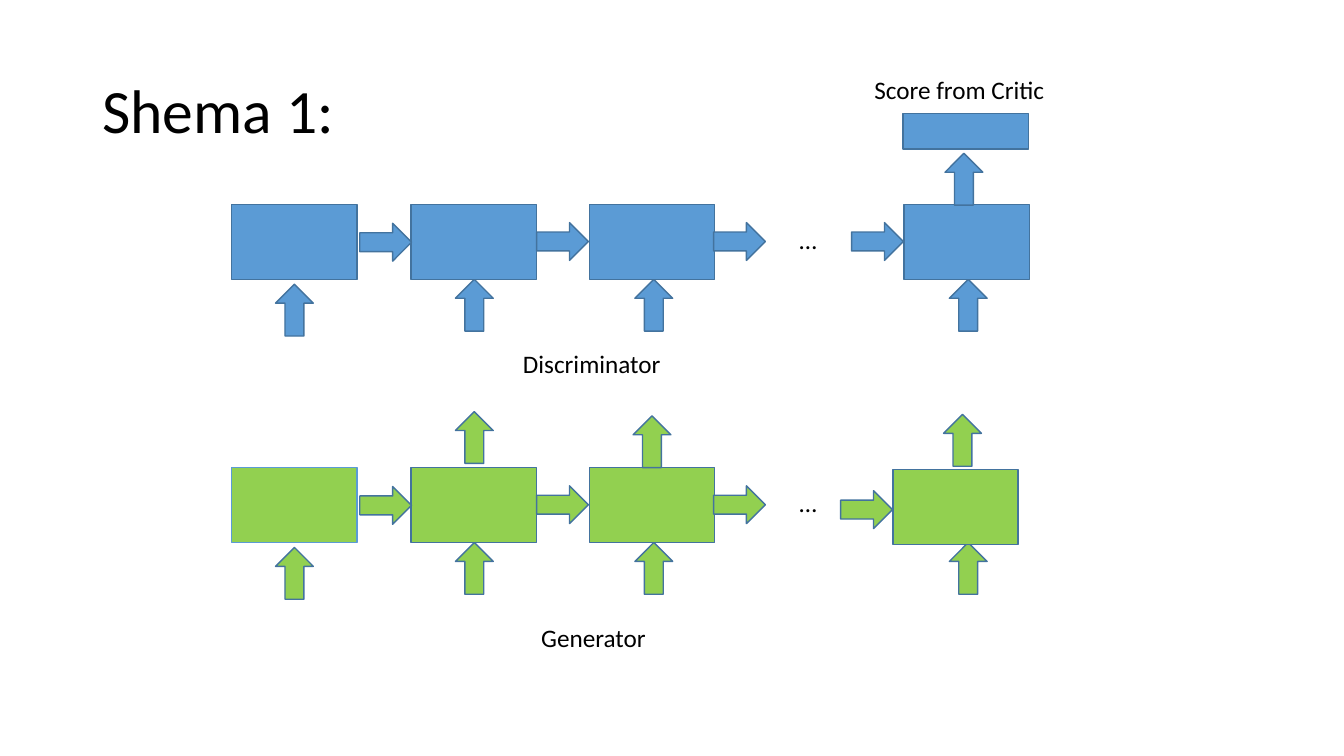
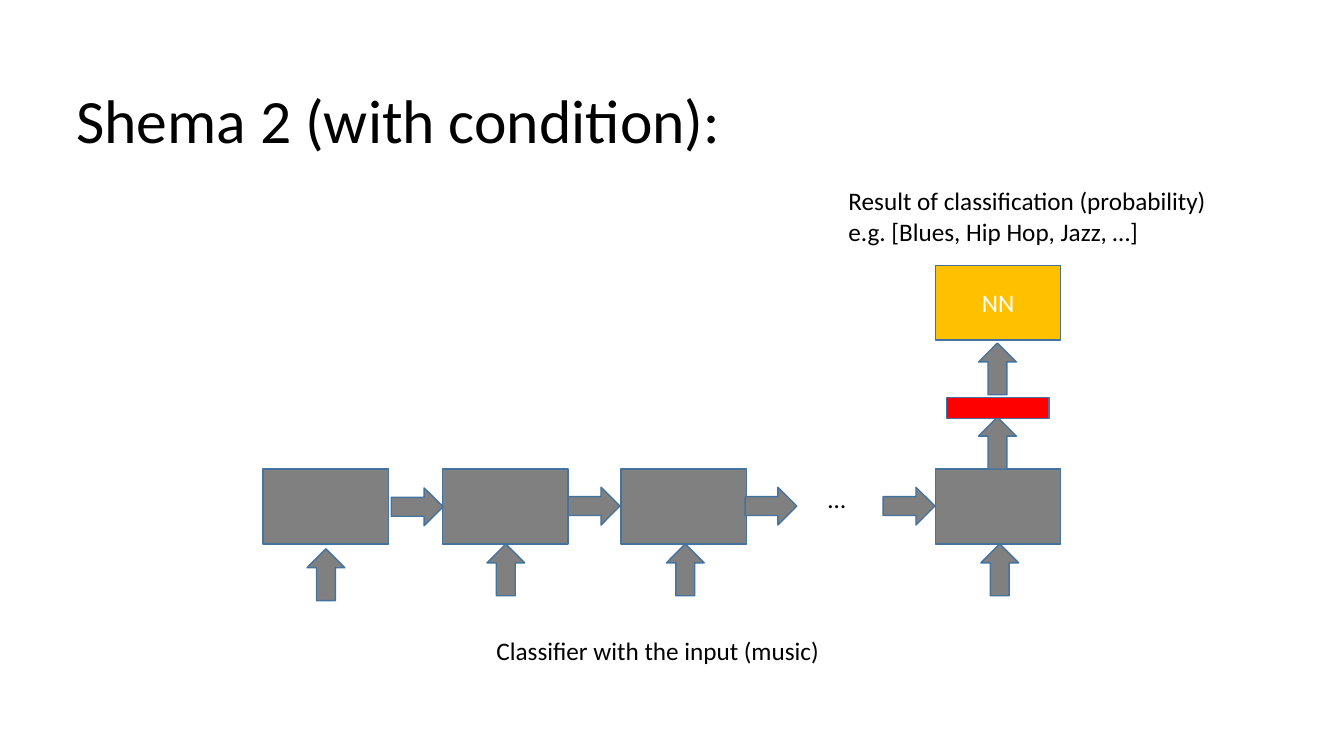
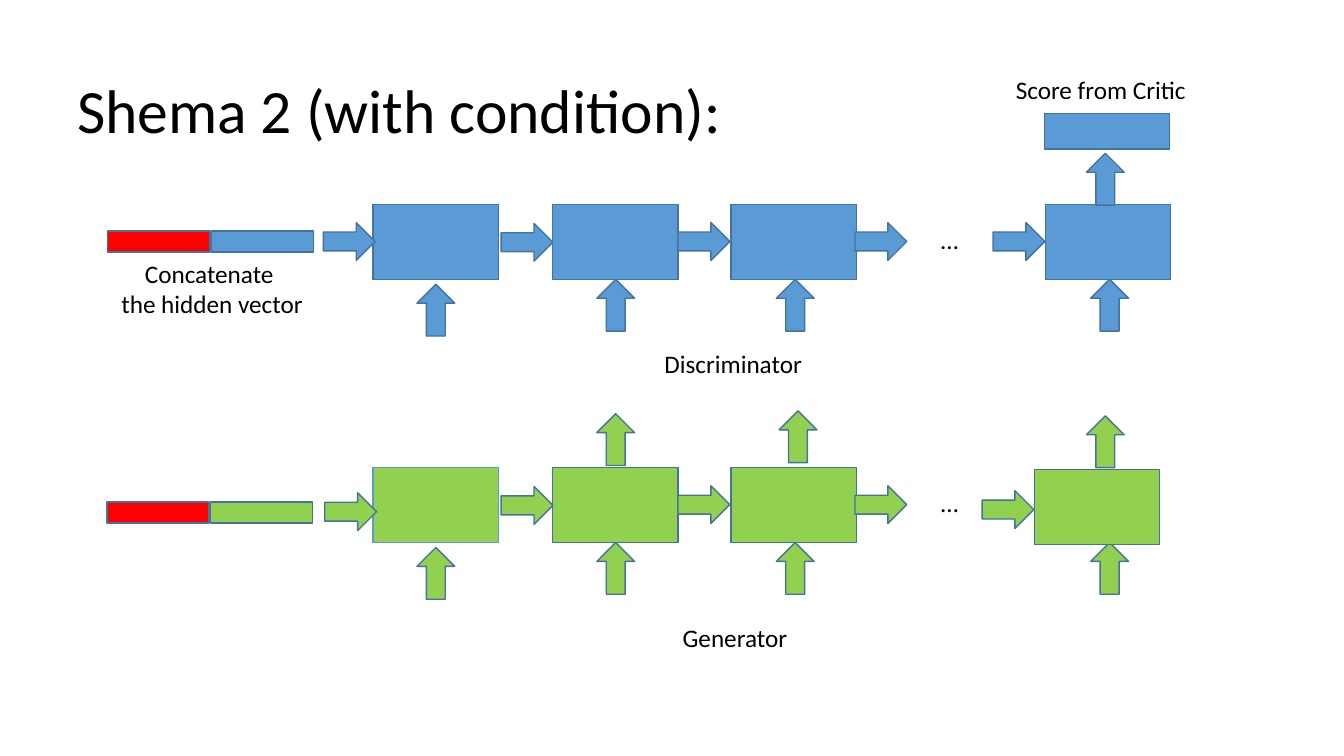
from pptx import Presentation
from pptx.dml.color import RGBColor
from pptx.enum.shapes import MSO_SHAPE
from pptx.enum.text import MSO_ANCHOR, MSO_AUTO_SIZE, PP_ALIGN
from pptx.util import Pt

RECT, ARROW = MSO_SHAPE.RECTANGLE, MSO_SHAPE.RIGHT_ARROW
TOP, MIDDLE = MSO_ANCHOR.TOP, MSO_ANCHOR.MIDDLE
LEFT, CENTER = PP_ALIGN.LEFT, PP_ALIGN.CENTER
GROW = MSO_AUTO_SIZE.SHAPE_TO_FIT_TEXT

BLACK = RGBColor(0x00, 0x00, 0x00)
WHITE = RGBColor(0xFF, 0xFF, 0xFF)
BLUE = RGBColor(0x5B, 0x9B, 0xD5)
OUTLINE = RGBColor(0x43, 0x73, 0x9E)
GREEN = RGBColor(0x92, 0xD0, 0x50)
GRAY = RGBColor(0x80, 0x80, 0x80)
RED = RGBColor(0xFF, 0x00, 0x00)
GOLD = RGBColor(0xFF, 0xC0, 0x00)

TITLE_FONT = {"name": "Calibri", "size": Pt(44)}
LABEL_FONT = {"name": "Calibri", "size": Pt(18)}

# Sizes in points
CELL = (89.5, 53.5)
ARROW_SIZE = (37, 27)
VECTOR = (73, 15)
SCORE = (89.5, 25.5)
UP = 270


def add_block(page, kind, left, top, size, fill, line=OUTLINE, turn=0):
    """Add a filled, outlined preset shape; turn is its rotation in degrees."""
    block = page.shapes.add_shape(kind, Pt(left), Pt(top), Pt(size[0]), Pt(size[1]))
    block.shadow.inherit = False
    block.fill.solid()
    block.fill.fore_color.rgb = fill
    block.line.color.rgb = line
    block.line.width = Pt(1)
    block.rotation = turn
    return block


def write(frame, lines, font, color, align, spacing=1.0):
    frame.word_wrap = True
    for number, line in enumerate(lines):
        para = frame.paragraphs[0] if number == 0 else frame.add_paragraph()
        para.alignment = align
        para.line_spacing = spacing
        span = para.add_run()
        span.text = line
        for name, value in font.items():
            setattr(span.font, name, value)
        span.font.color.rgb = color


deck = Presentation()
deck.slide_width, deck.slide_height = Pt(960), Pt(540)
blank = deck.slide_layouts[6]
plain, classifier, conditioned = [deck.slides.add_slide(blank) for _ in range(3)]

# Titles
for page, left, top, title in [
    (plain, 66, 29, "Shema 1:"),
    (classifier, 47.5, 36, "Shema 2 (with condition):"),
    (conditioned, 48, 29, "Shema 2 (with condition):"),
]:
    box = page.shapes.add_textbox(Pt(left), Pt(top), Pt(828), Pt(104.4))
    box.text_frame.vertical_anchor = MIDDLE
    write(box.text_frame, [title], TITLE_FONT, BLACK, LEFT, 0.9)

# Recurrent chains: the last cell and the arrow into it are offset from the chain's corner
PLAIN_LEFT, CLASSIFIER_LEFT, CONDITIONED_LEFT = 165.5, 188, 266.5
BLUE_TOP, GREEN_TOP, GRAY_TOP = 146, 334, 335
BLUE_END = ((480.2, 0), (442.8, 13))
GREEN_END = ((472.3, 1.5), (435, 16.5))

for page, left, top, fill, first_line, (last_cell, last_arrow) in [
    (plain, PLAIN_LEFT, BLUE_TOP, BLUE, OUTLINE, BLUE_END),
    (plain, PLAIN_LEFT, GREEN_TOP, GREEN, BLUE, GREEN_END),
    (classifier, CLASSIFIER_LEFT, GRAY_TOP, GRAY, OUTLINE, BLUE_END),
    (conditioned, CONDITIONED_LEFT, BLUE_TOP, BLUE, OUTLINE, BLUE_END),
    (conditioned, CONDITIONED_LEFT, GREEN_TOP, GREEN, BLUE, GREEN_END),
]:
    for dx, dy in [(26.3, 62), (154.8, 58.5), (283, 58.5), (507.6, 58.5)]:
        add_block(page, ARROW, left + dx, top + dy, ARROW_SIZE, fill, turn=UP)
    for dx, dy in [(0, 0), (128.2, 0), (255.6, 0), last_cell]:
        line = OUTLINE if dx else first_line
        add_block(page, RECT, left + dx, top + dy, CELL, fill, line)
    for dx, dy in [(91.5, 13.5), (217.8, 13), (344.2, 13), last_arrow]:
        add_block(page, ARROW, left + dx, top + dy, ARROW_SIZE, fill)

# Critic score above the discriminator, outputs above the generator
for page, left, outputs in [
    (plain, PLAIN_LEFT, [(154.8, 299), (281.7, 302), (503.5, 301)]),
    (conditioned, CONDITIONED_LEFT, [(154.8, 300.5), (285, 298.5), (504.5, 302)]),
]:
    add_block(page, ARROW, left + 504.5, 114.5, ARROW_SIZE, BLUE, turn=UP)
    add_block(page, RECT, left + 479.5, 81, SCORE, BLUE)
    for dx, top in outputs:
        add_block(page, ARROW, left + dx, top, ARROW_SIZE, GREEN, turn=UP)

# Classification head
for top in (303, 250):
    add_block(classifier, ARROW, 694, top, ARROW_SIZE, GRAY, turn=UP)
add_block(classifier, RECT, 676.3, 284, VECTOR, RED)
network = add_block(classifier, RECT, 668.2, 189.5, CELL, GOLD)
network.text_frame.vertical_anchor = MIDDLE
write(network.text_frame, ["NN"], LABEL_FONT, WHITE, CENTER)

# Concatenated hidden vectors
for left, top, fill, arrow_left, arrow_top in [
    (77, 165, BLUE, 231, 159),
    (76.3, 358.5, GREEN, 232, 352),
]:
    add_block(conditioned, RECT, left, top, VECTOR, RED)
    add_block(conditioned, RECT, left + 74, top, VECTOR, fill)
    add_block(conditioned, ARROW, arrow_left, arrow_top, ARROW_SIZE, fill)

# Labels
labels = [
    (classifier, 584.5, 341.5, 28, ["…"], LEFT),
    (classifier, 599, 129, 276.5, [
        "Result of classification (probability)",
        "e.g. [Blues, Hip Hop, Jazz, …]",
    ], LEFT),
    (classifier, 347.5, 450, 286.5, ["Classifier with the input (music)"], LEFT),
    (conditioned, 0, 181, 303, ["Concatenate ", "the hidden vector"], CENTER),
]
for page, left in [(plain, PLAIN_LEFT), (conditioned, CONDITIONED_LEFT)]:
    labels += [
        (page, left + 398.5, 157, 163.5, ["…"], LEFT),
        (page, left + 398.5, 344.5, 163.5, ["…"], LEFT),
        (page, left + 452, 49.5, 276.5, ["Score from Critic"], LEFT),
        (page, left + 201, 245, 147, ["Discriminator"], LEFT),
        (page, left + 214, 441, 101, ["Generator"], LEFT),
    ]
for page, left, top, width, lines, align in labels:
    height = 7 + 22 * len(lines)
    box = page.shapes.add_textbox(Pt(left), Pt(top), Pt(width), Pt(height))
    box.text_frame.auto_size = GROW
    box.text_frame.vertical_anchor = TOP
    write(box.text_frame, lines, LABEL_FONT, BLACK, align)

deck.save("out.pptx")
